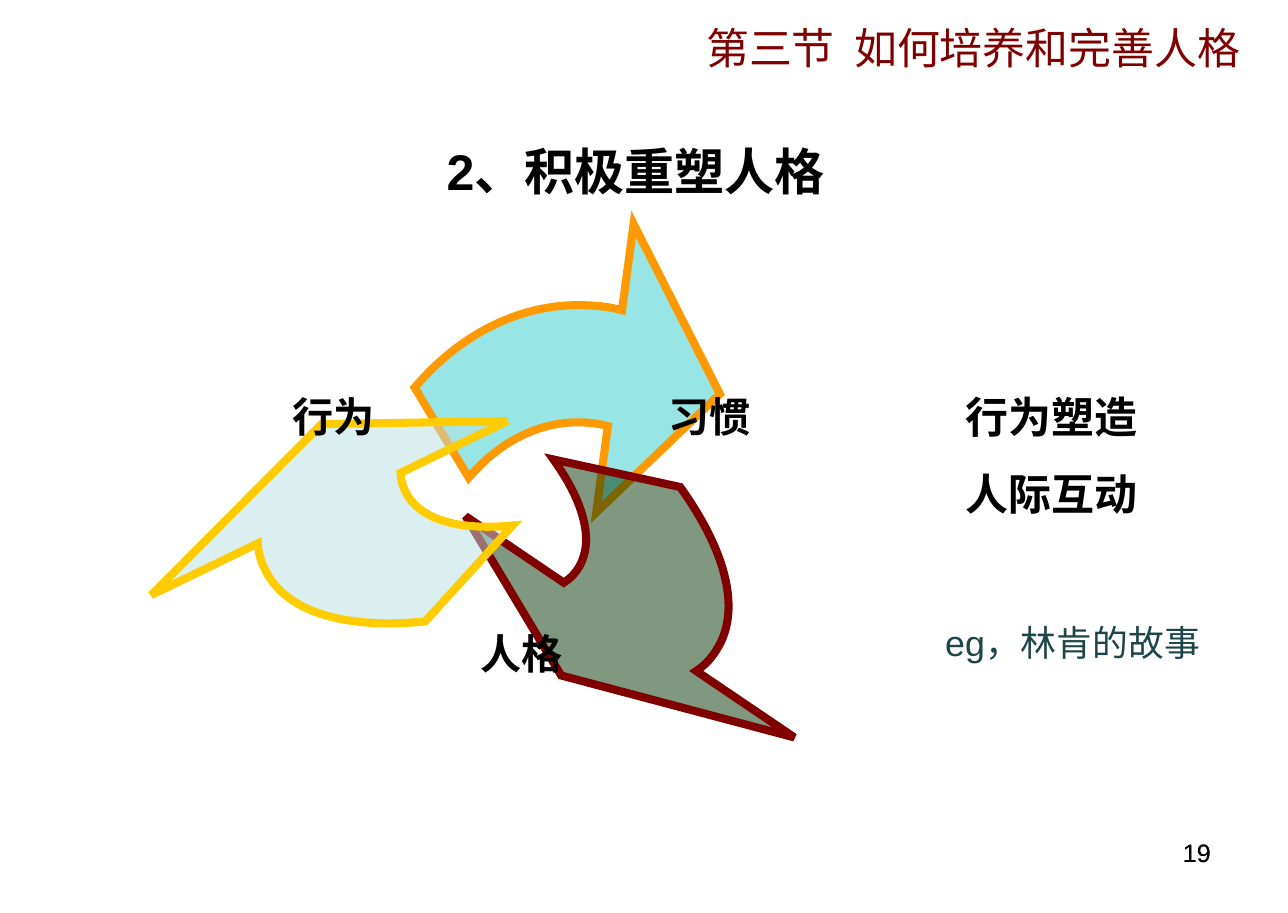
from dataclasses import dataclass
from lxml.etree import SubElement
from pptx import Presentation
from pptx.dml.color import RGBColor
from pptx.enum.text import MSO_ANCHOR, MSO_AUTO_SIZE, PP_ALIGN
from pptx.oxml.ns import qn
from pptx.util import Inches, Pt


@dataclass(frozen=True)
class Theme:
    latin: str = "Arial"
    chinese: str = "Noto Sans CJK SC"
    ink: str = "000000"
    section: str = "800000"
    example: str = "1E4649"
    title_size: int = 28
    text_size: int = 24
    label_size: int = 23
    example_size: int = 20
    number_size: int = 14
    outline: float = 4.5
    opacity: int = 50


THEME = Theme()
CELL = 0.1  # the page is a grid of square cells, 100 columns wide

# One curved arrow, drawn in its own frame: a step with one point is a straight
# side, a step with three points a Bezier curve.
ARROW_FRAME = (307, 224)
ARROW_START = (221, 94)
ARROW_STEPS = [
    [(214, 92), (206, 91), (198, 91)],
    [(166, 91), (136, 107), (113, 134)],
    [(71, 64)],
    [(105, 24), (150, 0), (198, 0)],
    [(210, 0), (221, 1), (232, 4)],
    [(241, -63)],
    [(308, 69)],
    [(212, 161)],
    [ARROW_START],
]
# Place in cells, rotation, fill, line
ARROWS = [
    ((25.1, 23.7, 30.7, 22.4), 0, "33CCCC", "FF9900"),
    ((32.9, 24.4, 22.4, 30.7), 120, "003300", "800000"),
    ((24.5, 24.4, 22.4, 30.7), 240, "BBE0E3", "FFCC00"),
]
# Label, left column, top row
LABELS = [("人格", 34.35, 46.25), ("行为", 19.75, 27.8), ("习惯", 48.95, 27.8)]


def cells(*counts):
    return [Inches(count * CELL) for count in counts]


def put(shape, place):
    shape.left, shape.top, shape.width, shape.height = cells(*place)


def write(box, *lines, size=THEME.text_size, color=THEME.ink, latin=THEME.latin,
          bold=False, align=PP_ALIGN.LEFT, anchor=MSO_ANCHOR.TOP, spacing=1.0,
          wrap=True, margins=(0.1, 0.05)):
    """Fill a box with one paragraph per line, all in the same format."""
    frame = box.text_frame
    frame.word_wrap = wrap
    frame.auto_size = MSO_AUTO_SIZE.NONE
    frame.vertical_anchor = anchor
    frame.margin_left = frame.margin_right = Inches(margins[0])
    frame.margin_top = frame.margin_bottom = Inches(margins[1])
    for index, line in enumerate(lines):
        para = frame.add_paragraph() if index else frame.paragraphs[0]
        para.alignment = align
        para.line_spacing = spacing
        para.space_before = Pt(0)
        span = para.add_run()
        span.text = line
        span.font.size = Pt(size)
        span.font.bold = bold
        span.font.color.rgb = RGBColor.from_string(color)
        span.font.name = latin
        SubElement(span.font._element, qn("a:ea"), typeface=THEME.chinese)


def add_text(page, place, *lines, **style):
    box = page.shapes.add_textbox(*cells(*place))
    write(box, *lines, **style)


def draw_curves(shape):
    """Replace the straight sides of a freeform by the steps of the arrow."""
    route = shape._element.spPr.find(".//" + qn("a:path"))
    for child in list(route):
        route.remove(child)
    for side, length in zip("wh", ARROW_FRAME):
        route.set(side, str(length))
    for index, points in enumerate([[ARROW_START], *ARROW_STEPS]):
        kind = "cubicBezTo" if len(points) == 3 else "lnTo" if index else "moveTo"
        step = SubElement(route, qn("a:" + kind))
        for x, y in points:
            SubElement(step, qn("a:pt"), x=str(x), y=str(y))
    SubElement(route, qn("a:close"))


def add_arrow(page, place, rotation, fill, line):
    builder = page.shapes.build_freeform(*ARROW_START)
    builder.add_line_segments([points[-1] for points in ARROW_STEPS])
    arrow = builder.convert_to_shape()
    draw_curves(arrow)
    put(arrow, place)
    arrow.rotation = rotation
    arrow.shadow.inherit = False
    arrow.fill.solid()
    arrow.fill.fore_color.rgb = RGBColor.from_string(fill)
    color = arrow._element.spPr.find(qn("a:solidFill"))[0]
    SubElement(color, qn("a:alpha"), val=str(THEME.opacity * 1000))
    arrow.line.color.rgb = RGBColor.from_string(line)
    arrow.line.width = Pt(THEME.outline)
    SubElement(arrow.line._get_or_add_ln(), qn("a:miter"), lim="800000")


def add_title(page, text):
    title = page.shapes.title
    put(title, (4.35, 9.4, 90, 7.6))
    write(title, text, size=THEME.title_size, bold=True,
          align=PP_ALIGN.CENTER, anchor=MSO_ANCHOR.MIDDLE)


def main():
    deck = Presentation()
    deck.slide_width, deck.slide_height = cells(100, 70.9)
    page = deck.slides.add_slide(deck.slide_layouts[5])

    add_title(page, "2、积极重塑人格")

    # Cycle of three arrows with its labels
    for arrow in ARROWS:
        add_arrow(page, *arrow)
    for label, left, top in LABELS:
        add_text(page, (left, top, 12.3, 9), label, size=THEME.label_size, bold=True,
                 align=PP_ALIGN.CENTER, anchor=MSO_ANCHOR.MIDDLE, wrap=False,
                 margins=(0, 0))

    # Methods and example
    add_text(page, (74, 27.85, 21, 13), "行为塑造", "人际互动", bold=True, spacing=1.5)
    add_text(page, (72.4, 47.7, 27.6, 4.4), "eg，林肯的故事",
             size=THEME.example_size, color=THEME.example)

    # Section heading
    add_text(page, (33.5, 1.65, 63.8, 4.7), "第三节  如何培养和完善人格",
             color=THEME.section, latin=THEME.chinese, align=PP_ALIGN.RIGHT, spacing=0.9)

    # Page number, set twice with a common right edge
    for left in (71.3, 71.7):
        add_text(page, (left, 64.58, 95 - left, 4.9), "19",
                 size=THEME.number_size, align=PP_ALIGN.RIGHT)

    deck.save("out.pptx")


if __name__ == "__main__":
    main()
